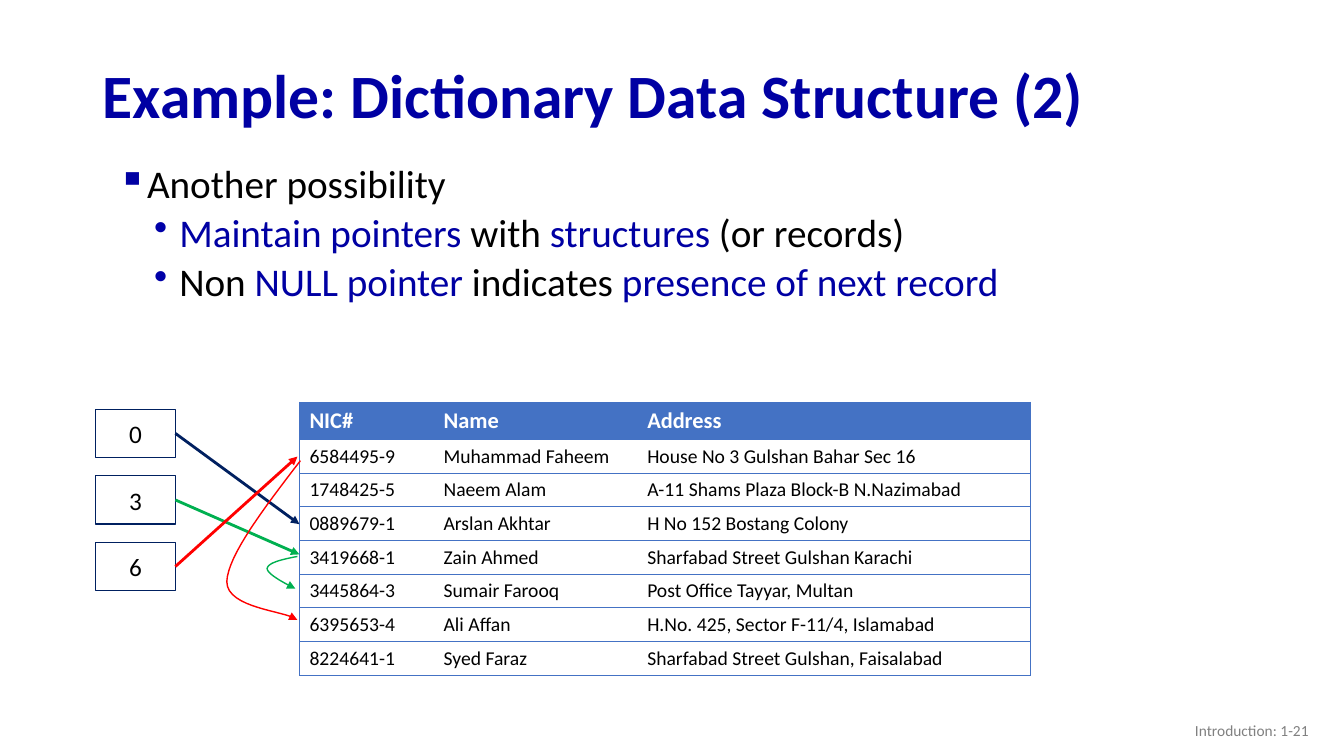
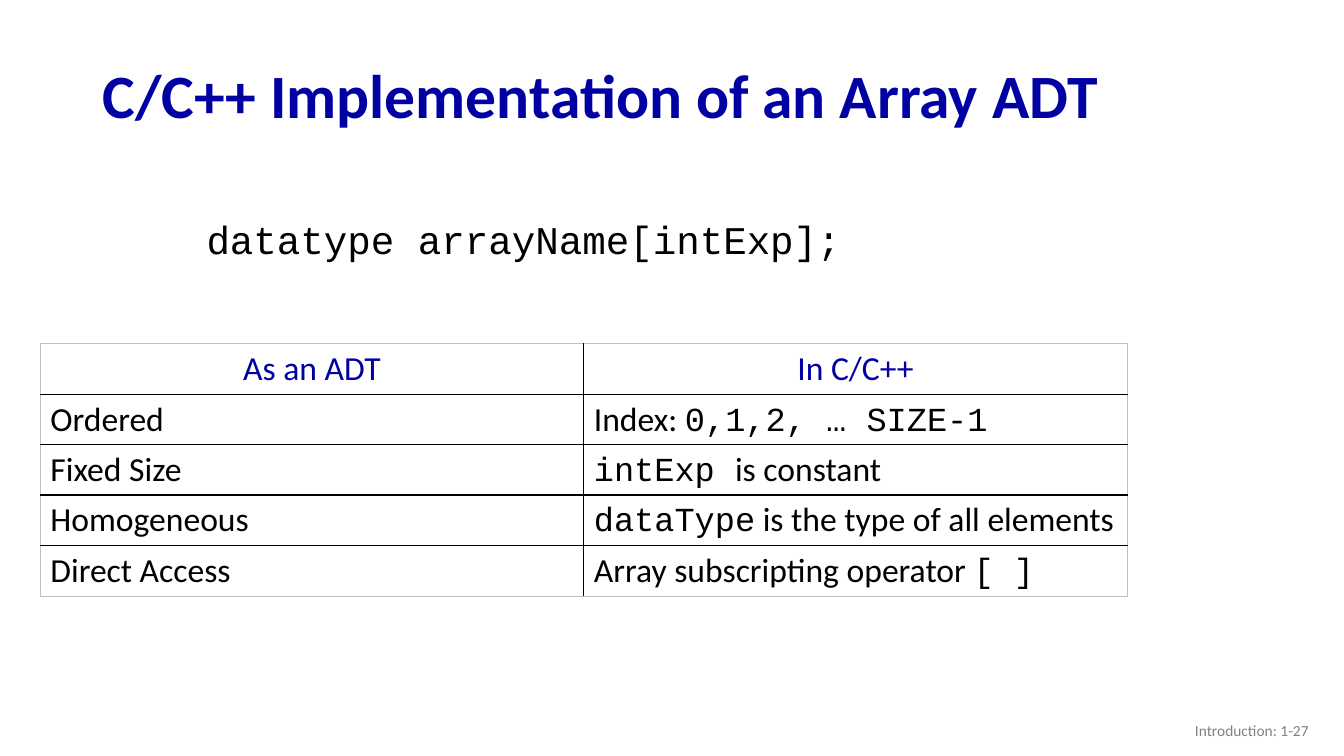
from pptx import Presentation
from pptx.dml.color import RGBColor
from pptx.enum import shapes, text
from pptx.oxml import parse_xml
from pptx.oxml.ns import nsdecls, qn
from pptx.util import Inches, Pt

COLORS = {
    "title": "0000A3", "sub_bullet": "0000A8", "black": "000000", "white": "FFFFFF",
    "footer": "808080", "table": "4472C4", "frame": "BFBFBF",
    "navy": "002060", "green": "00B050", "red": "FF0000",
}
BODY, MONO = "Calibri", "Courier New"
# Bullet, its colour, left margin, hanging indent and space before, by level
LEVELS = [("▪", "title", 0.39, -0.24, 10), ("•", "sub_bullet", 0.76, -0.25, 5)]


def blue(words):
    return {"words": words, "color": "title"}


def code(words):
    return {"words": words, "font": MONO}


def rgb(name):
    return RGBColor.from_string(COLORS[name])


def element(tag, attributes="", inner=""):
    return parse_xml(f"<a:{tag} {nsdecls('a')} {attributes}>{inner}</a:{tag}>")


def color_xml(name):
    return f'<a:srgbClr val="{COLORS[name]}"/>'


def curve_points(start, control_1, control_2, end, steps=16):
    """Points along a cubic Bezier curve, without its start."""
    points = []
    for step in range(1, steps + 1):
        t = step / steps
        weights = ((1 - t) ** 3, 3 * t * (1 - t) ** 2, 3 * t ** 2 * (1 - t), t ** 3)
        corners = (start, control_1, control_2, end)
        points.append(tuple(sum(w * c[axis] for w, c in zip(weights, corners))
                            for axis in (0, 1)))
    return points


class Deck:
    def __init__(self):
        self.deck = Presentation()
        self.deck.slide_width, self.deck.slide_height = Inches(13.33), Inches(7.5)
        self.page = None

    def add_page(self, title, number):
        self.page = self.deck.slides.add_slide(self.deck.slide_layouts[6])
        middle = text.MSO_ANCHOR.MIDDLE
        para = self.text_box(0.92, 0.49, 11.5, 0.98, [title], 44, "title", bold=True,
                             anchor=middle)
        para.line_spacing = 0.9
        para = self.text_box(10.08, 7.05, 3, 0.4, [f"Introduction: {number}"], 11,
                             "footer", anchor=middle)
        para.alignment = text.PP_ALIGN.RIGHT

    def add_spans(self, para, spans, size, color="black", font=BODY, bold=False):
        """Fill a paragraph with spans: plain strings, blue() or code()."""
        for item in spans:
            item = {"words": item} if isinstance(item, str) else item
            span = para.add_run()
            span.text = item["words"]
            span.font.name = item.get("font", font)
            span.font.size = Pt(size)
            span.font.bold = bold
            span.font.color.rgb = rgb(item.get("color", color))

    def text_box(self, left, top, width, height, spans, size, color="black", bold=False,
                 anchor=text.MSO_ANCHOR.TOP):
        box = self.page.shapes.add_textbox(*map(Inches, (left, top, width, height)))
        box.text_frame.word_wrap = True
        box.text_frame.vertical_anchor = anchor
        para = box.text_frame.paragraphs[0]
        self.add_spans(para, spans, size, color, bold=bold)
        return para

    def bullets(self, left, top, width, height, items, size=28):
        box = self.page.shapes.add_textbox(*map(Inches, (left, top, width, height)))
        frame = box.text_frame
        frame.word_wrap = True
        for index, (level, spans) in enumerate(items):
            para = frame.add_paragraph() if index else frame.paragraphs[0]
            mark, color, margin, indent, before = LEVELS[level]
            props = para._p.get_or_add_pPr()
            props.set("marL", str(Inches(margin)))
            props.set("indent", str(Inches(indent)))
            props.append(element("buClr", inner=color_xml(color)))
            props.append(element("buChar", f'char="{mark}"'))
            para.level = level
            para.line_spacing = 0.9
            if index:
                para.space_before = Pt(before)
            self.add_spans(para, spans, size)

    def table(self, left, top, widths, heights, rows, style_cell, border):
        """border(row, column, side) gives a (colour, points) pair or None."""
        frame = self.page.shapes.add_table(
            len(rows), len(widths), Inches(left), Inches(top),
            Inches(sum(widths)), Inches(sum(heights)))
        grid = frame.table
        grid.first_row = grid.horz_banding = False
        for column, width in zip(grid.columns, widths):
            column.width = Inches(width)
        for r, (row, height) in enumerate(zip(rows, heights)):
            grid.rows[r].height = Inches(height)
            for c, spans in enumerate(row):
                cell = grid.cell(r, c)
                fill, align, font = style_cell(r)
                cell.fill.solid()
                cell.fill.fore_color.rgb = rgb(fill)
                para = cell.text_frame.paragraphs[0]
                para.alignment = align
                self.add_spans(para, spans if isinstance(spans, list) else [spans], **font)
                for place, side in enumerate("LRTB"):
                    self.cell_border(cell, place, side, border(r, c, side))

    def cell_border(self, cell, place, side, line):
        if line:
            color, points = line
            border = element(f"ln{side}", f'w="{Pt(points)}"',
                             f"<a:solidFill>{color_xml(color)}</a:solidFill>")
        else:
            border = element(f"ln{side}", 'w="0"', "<a:noFill/>")
        cell._tc.get_or_add_tcPr().insert(place, border)

    def node(self, left, top, width, height, label):
        box = self.page.shapes.add_shape(shapes.MSO_SHAPE.RECTANGLE,
                                         *map(Inches, (left, top, width, height)))
        box.shadow.inherit = False
        box.fill.background()
        box.line.color.rgb = rgb("navy")
        box.line.width = Pt(1)
        box.text_frame.vertical_anchor = text.MSO_ANCHOR.MIDDLE
        para = box.text_frame.paragraphs[0]
        para.alignment = text.PP_ALIGN.CENTER
        self.add_spans(para, [label], 18)
        return box

    def style_arrow(self, shape, color, points):
        shape.line.color.rgb = rgb(color)
        shape.line.width = Pt(points)
        shape._element.spPr.find(qn("a:ln")).append(element("tailEnd", 'type="triangle"'))

    def arrow_from(self, box, end, color):
        """Straight arrow from the right side of a box to a point."""
        x, y = map(Inches, end)
        arrow = self.page.shapes.add_connector(shapes.MSO_CONNECTOR.STRAIGHT, 0, 0, x, y)
        arrow.begin_connect(box, 3)
        self.style_arrow(arrow, color, 2)
        arrow._element.spPr.append(element("effectLst"))

    def curved_arrow(self, start, curves, color):
        points = [start]
        for curve in curves:
            points += curve_points(points[-1], *curve)
        points = [(Inches(x), Inches(y)) for x, y in points]
        builder = self.page.shapes.build_freeform(*points[0])
        builder.add_line_segments(points[1:], close=False)
        arrow = builder.convert_to_shape()
        arrow.shadow.inherit = False
        arrow.fill.background()
        self.style_arrow(arrow, color, 1)


def dictionary_page(deck):
    deck.add_page("Example: Dictionary Data Structure (2)", "1-21")
    deck.bullets(0.92, 1.58, 9.29, 1.57, [
        (0, ["Another possibility"]),
        (1, [blue("Maintain pointers "), "with ", blue("structures"), " (or records)"]),
        (1, ["Non ", blue("NULL pointer "), "indicates ", blue("presence of next record")]),
    ])
    records = [
        ("NIC#", "Name", "Address"),
        ("6584495-9", "Muhammad Faheem", "House No 3 Gulshan Bahar Sec 16"),
        ("1748425-5", "Naeem Alam", "A-11 Shams Plaza Block-B N.Nazimabad"),
        ("0889679-1", "Arslan Akhtar", "H No 152 Bostang Colony"),
        ("3419668-1", "Zain Ahmed", "Sharfabad Street Gulshan Karachi"),
        ("3445864-3", "Sumair Farooq", "Post Office Tayyar, Multan"),
        ("6395653-4", "Ali Affan", "H.No. 425, Sector F-11/4, Islamabad"),
        ("8224641-1", "Syed Faraz", "Sharfabad Street Gulshan, Faisalabad"),
    ]

    def style_cell(row):
        if row == 0:
            return "table", None, {"size": 16, "color": "white", "bold": True}
        return "white", None, {"size": 14}

    def border(row, column, side):
        outer = (column, side) in ((0, "L"), (2, "R"))
        return ("table", 0.5) if outer or side in "TB" else None

    deck.table(2.97, 3.99, [1.33, 2.02, 3.9], [0.37] + [0.33] * 7, records,
               style_cell, border)

    targets = [("0", (2.97, 5.2), "navy"), ("3", (2.97, 5.5), "green"),
               ("6", (2.95, 4.53), "red")]
    for index, (label, end, color) in enumerate(targets):
        box = deck.node(0.95, 4.06 + 0.66 * index, 0.79, 0.48, label)
        deck.arrow_from(box, end, color)
    deck.curved_arrow((2.95, 5.52), [((2.8, 5.55), (2.66, 5.58), (2.65, 5.64)),
                                     ((2.65, 5.69), (2.79, 5.77), (2.93, 5.84))], "green")
    deck.curved_arrow((2.98, 4.57), [((2.62, 5.04), (2.26, 5.51), (2.25, 5.77)),
                                     ((2.25, 6.04), (2.85, 6.06), (2.95, 6.15))], "red")


def array_page(deck):
    deck.add_page("C/C++ Implementation of an Array ADT", "1-27")
    rows = [
        ("As an ADT", "In C/C++"),
        ("Ordered", ["Index: ", code("0,1,2, … SIZE-1")]),
        ("Fixed Size", [code("intExp "), "is constant"]),
        ("Homogeneous", [code("dataType"), " is the type of all elements"]),
        ("Direct Access", ["Array subscripting operator ", code("[ ]")]),
    ]

    def style_cell(row):
        if row == 0:
            return "white", text.PP_ALIGN.CENTER, {"size": 24, "color": "title"}
        return "white", None, {"size": 24}

    def border(row, column, side):
        outer = {"L": column == 0, "R": column == 1,
                 "T": row == 0, "B": row == len(rows) - 1}[side]
        return ("frame", 0.5) if outer else ("black", 1)

    deck.table(0.4, 3.41, [5.39] * 2, [0.5] * len(rows), rows, style_cell, border)
    deck.text_box(1.95, 2.09, 6.85, 0.57, [code("datatype arrayName[intExp];")], 28)


def main():
    deck = Deck()
    dictionary_page(deck)
    array_page(deck)
    deck.deck.save("out.pptx")


if __name__ == "__main__":
    main()
